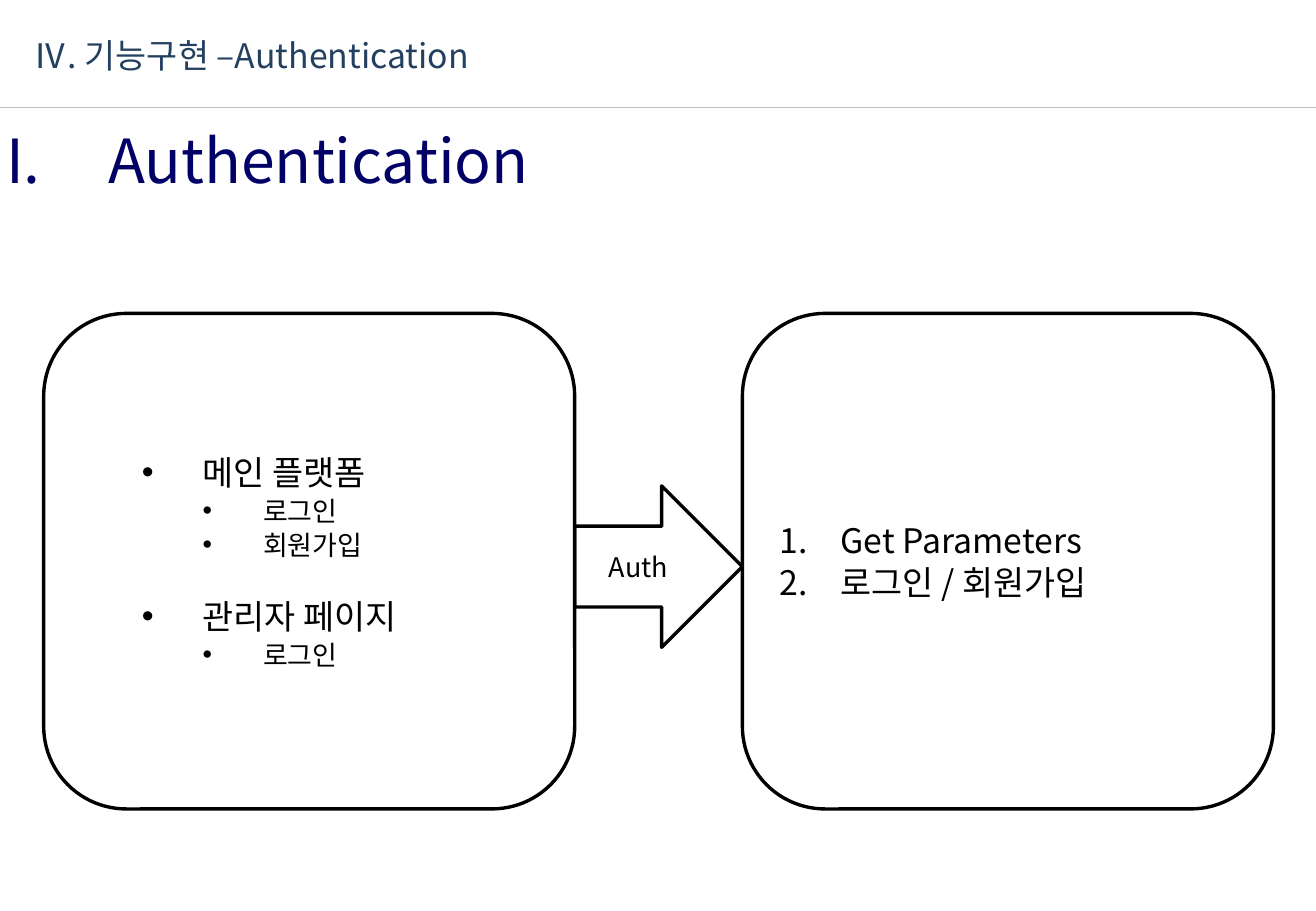
from pptx import Presentation
from pptx.dml.color import RGBColor
from pptx.enum import shapes, text
from pptx.oxml.ns import qn
from pptx.util import Inches, Pt

FONT = "Noto Sans CJK KR"
BLACK = "000000"


def color(hex_string):
    return RGBColor.from_string(hex_string)


def add_run(paragraph, content, size, hex_string=BLACK):
    run = paragraph.add_run()
    run.text = content
    run.font.name = FONT
    run.font.size = Pt(size)
    run.font.color.rgb = color(hex_string)
    east_asian = run._r.get_or_add_rPr().makeelement(qn("a:ea"), {"typeface": FONT})
    run.font._element.find(qn("a:latin")).addnext(east_asian)


def add_property(paragraph, tag, **attributes):
    properties = paragraph._p.get_or_add_pPr()
    element = properties.makeelement(qn(tag), attributes)
    properties.append(element)
    return element


def add_heading(slide, left, top, width, height, content, size, hex_string):
    box = slide.shapes.add_textbox(Inches(left), Inches(top), Inches(width), Inches(height))
    frame = box.text_frame
    frame.word_wrap = True
    frame.margin_left = frame.margin_right = frame.margin_bottom = 0
    frame.margin_top = Inches(0.01)
    paragraph = frame.paragraphs[0]
    tabs = add_property(paragraph, "a:tabLst")
    tabs.append(tabs.makeelement(qn("a:tab"), {"pos": str(Inches(0.84)), "algn": "l"}))
    add_run(paragraph, content, size, hex_string)


def add_outline(slide, kind, left, top, width, height):
    shape = slide.shapes.add_shape(
        kind, Inches(left), Inches(top), Inches(width), Inches(height))
    shape.shadow.inherit = False
    shape.fill.background()
    shape.line.color.rgb = color(BLACK)
    shape.line.width = Pt(2)
    shape.text_frame.word_wrap = True
    shape.text_frame.vertical_anchor = text.MSO_ANCHOR.MIDDLE
    return shape


def add_panel(slide, left, top, width, height, items, numbered=False):
    """Rounded panel listing items of (level, text, size, space before)."""
    panel = add_outline(
        slide, shapes.MSO_SHAPE.ROUNDED_RECTANGLE, left, top, width, height)
    frame = panel.text_frame
    for index, (level, content, size, space) in enumerate(items):
        paragraph = frame.add_paragraph() if index else frame.paragraphs[0]
        paragraph.alignment = text.PP_ALIGN.LEFT
        paragraph.level = level
        paragraph.space_before = Pt(space)
        properties = paragraph._p.get_or_add_pPr()
        properties.set("marL", str(Inches(0.51 + 0.5 * level)))
        properties.set("indent", str(Inches(-0.5)))
        if numbered:
            add_property(paragraph, "a:buFont", typeface=FONT)
            add_property(paragraph, "a:buAutoNum", type="arabicPeriod")
        else:
            add_property(paragraph, "a:buFont", typeface="Arial")
            add_property(paragraph, "a:buChar", char="•")
        add_run(paragraph, content, size)


def add_auth_arrow(slide, left, top, width, height):
    arrow = add_outline(slide, shapes.MSO_SHAPE.RIGHT_ARROW, left, top, width, height)
    paragraph = arrow.text_frame.paragraphs[0]
    paragraph.alignment = text.PP_ALIGN.CENTER
    add_run(paragraph, "Auth", 16)


def add_header_rule(slide, top, width):
    rule = slide.shapes.add_connector(
        shapes.MSO_CONNECTOR.STRAIGHT, 0, Inches(top), Inches(width), Inches(top))
    rule.line.color.rgb = color("BEBEBE")
    rule.line.width = Pt(0.25)
    properties = rule._element.spPr
    properties.append(properties.makeelement(qn("a:effectLst"), {}))


def main():
    presentation = Presentation()
    presentation.slide_width = Inches(10.83)
    presentation.slide_height = Inches(7.5)
    slide = presentation.slides.add_slide(presentation.slide_layouts[6])

    add_header_rule(slide, 0.88, 10.83)
    add_heading(slide, 0.05, 1, 5.45, 0.62, "I. \tAuthentication", 36, "000066")
    add_heading(slide, 0.28, 0.28, 4.56, 0.35, "Ⅳ. 기능구현 –Authentication", 20, "244060")

    platforms = [
        (1, "메인 플랫폼", 20, 0),
        (2, "로그인", 16, 1),
        (2, "회원가입", 16, 1),
        (1, "관리자 페이지", 20, 21),
        (2, "로그인", 16, 1),
    ]
    steps = [(0, "Get Parameters", 20, 0), (0, "로그인 / 회원가입", 20, 1)]
    add_panel(slide, 0.36, 2.58, 4.37, 4.08, platforms)
    add_panel(slide, 6.11, 2.58, 4.37, 4.08, steps, numbered=True)
    add_auth_arrow(slide, 4.73, 4, 1.38, 1.33)
    presentation.save("out.pptx")


if __name__ == "__main__":
    main()
